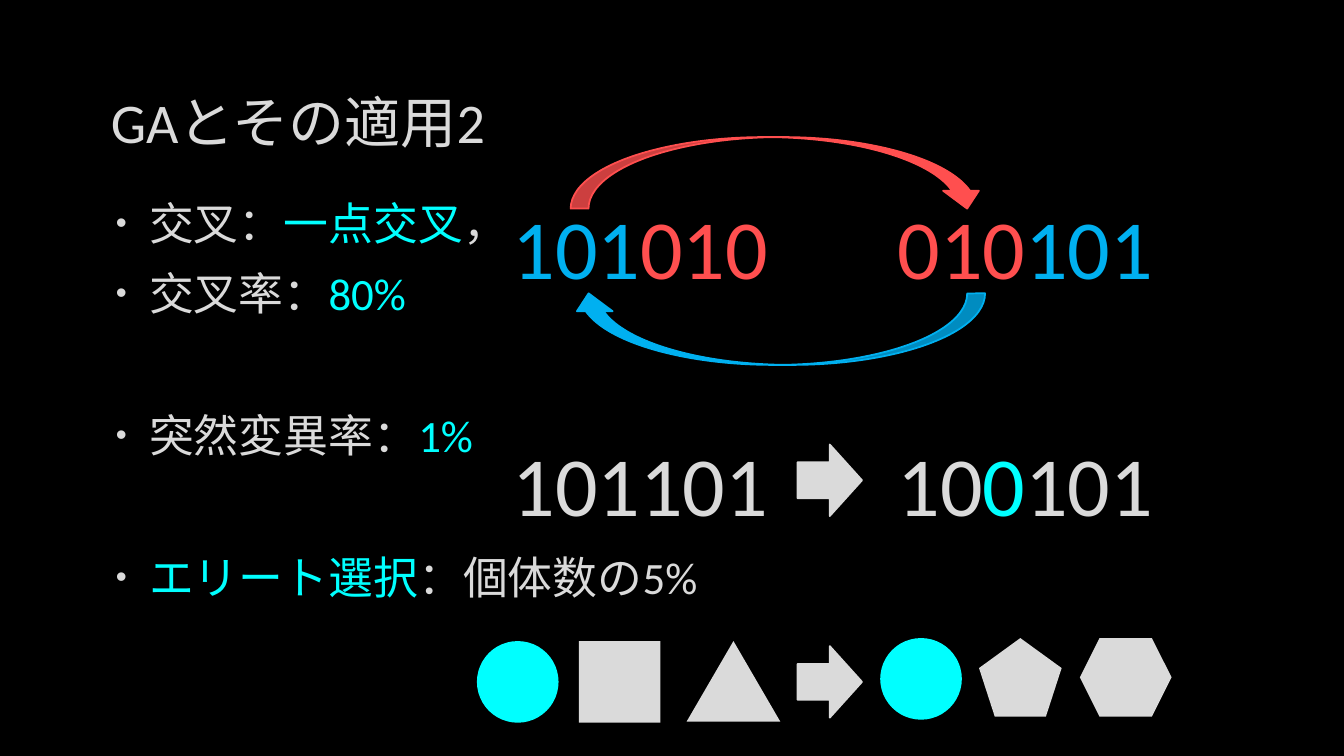
from lxml.etree import SubElement
from pptx import Presentation
from pptx.dml.color import RGBColor
from pptx.enum.shapes import MSO_SHAPE as SHAPE
from pptx.enum.text import MSO_ANCHOR as ANCHOR, PP_ALIGN as ALIGN
from pptx.oxml.ns import qn
from pptx.util import Inches, Pt

FONT = "Calibri"
BLACK, GRAY, CYAN, BLUE, RED = "000000", "DADADA", "00FFFF", "00B0F0", "FF4F4F"

TITLE = [("GAとその適用2", GRAY)]
# (empty rows above, runs)
BULLETS = [
    (0, [("交叉：", GRAY), ("一点交叉", CYAN), ("，", GRAY)]),
    (0, [("交叉率：", GRAY), ("80%", CYAN)]),
    (1, [("突然変異率：", GRAY), ("1%", CYAN)]),
    (1, [("エリート選択", CYAN), ("：個体数の5%", GRAY)]),
]
# One row per operation: left gene, right gene
GENES = [
    ([("101", BLUE), ("010", RED)], [("010", RED), ("101", BLUE)]),
    ([("101101", GRAY)], [("10", GRAY), ("0", CYAN), ("101", GRAY)]),
]
# preset, left, width, height, colour
PARENTS = [
    (SHAPE.OVAL, 4.73, 0.81, 0.81, CYAN),
    (SHAPE.RECTANGLE, 5.74, 0.81, 0.81, GRAY),
    (SHAPE.ISOSCELES_TRIANGLE, 6.81, 0.93, 0.8, GRAY),
]
CHILDREN = [
    (SHAPE.OVAL, 8.73, 0.81, 0.81, CYAN),
    (SHAPE.REGULAR_PENTAGON, 9.71, 0.82, 0.78, GRAY),
    (SHAPE.HEXAGON, 10.71, 0.91, 0.78, GRAY),
]
SWAPS = [(1.36, RED, 0), (2.91, BLUE, 180)]  # top, colour, rotation

MARGIN, TEXT_W = 1, 11.32
BODY_TOP = 1.89
GENE_LEFTS, GENE_TOPS = (4.74, 8.56), (BODY_TOP, 4.24)
GENE_W, GENE_H = 3.18, 1.04
ARROW_LEFT, ARROW_W, ARROW_H = 7.91, 0.64, 0.71
ARROW_TOPS = (4.41, 6.41)
SWAP_LEFT, SWAP_W = 5.66, 4.11
PARENT_TOP, CHILD_TOP = 6.36, 6.33
SPACE_BEFORE, SPACE_AFTER, ROW_PITCH = 6, 6, 51


def rgb(color):
    return RGBColor.from_string(color)


def add_box(s, left, top, width, height, anchor=ANCHOR.TOP):
    tf = s.shapes.add_textbox(*map(Inches, (left, top, width, height))).text_frame
    tf.word_wrap = True
    tf.vertical_anchor = anchor
    return tf


def add_runs(p, runs, size):
    for text, color in runs:
        r = p.add_run()
        r.text = text
        r.font.name = FONT
        r.font.size = Pt(size)
        r.font.color.rgb = rgb(color)


def set_bullet(p):
    pPr = p._p.get_or_add_pPr()
    pPr.set("marL", str(Inches(0.38)))
    pPr.set("indent", str(Inches(-0.33)))
    SubElement(SubElement(pPr, qn("a:buClr")), qn("a:srgbClr"), val=GRAY)
    SubElement(pPr, qn("a:buSzPct"), val="70000")
    SubElement(pPr, qn("a:buFont"), typeface="Arial")
    SubElement(pPr, qn("a:buChar"), char="•")


def add_figure(s, preset, left, top, width, height, color, outlined=False):
    sp = s.shapes.add_shape(preset, *map(Inches, (left, top, width, height)))
    sp.shadow.inherit = False
    sp.fill.solid()
    sp.fill.fore_color.rgb = rgb(color)
    if outlined:
        sp.line.color.rgb = rgb(color)
        sp.line.width = Pt(1.25)
    else:
        sp.line.fill.background()
    return sp


def add_bullets(s):
    tf = add_box(s, MARGIN, BODY_TOP, TEXT_W, 4.44)
    for i, (gap, runs) in enumerate(BULLETS):
        p = tf.add_paragraph() if i else tf.paragraphs[0]
        p.space_before = Pt(SPACE_BEFORE + gap * ROW_PITCH)
        p.space_after = Pt(SPACE_AFTER)
        set_bullet(p)
        add_runs(p, runs, 32)


def add_genes(s):
    for top, pair in zip(GENE_TOPS, GENES):
        for left, runs in zip(GENE_LEFTS, pair):
            p = add_box(s, left, top, GENE_W, GENE_H).paragraphs[0]
            p.alignment = ALIGN.CENTER
            p._p.get_or_add_pPr().set("marL", str(Inches(0.04)))
            add_runs(p, runs, 60)


def main():
    prs = Presentation()
    prs.slide_width, prs.slide_height = Inches(13.33), Inches(7.5)
    s = prs.slides.add_slide(prs.slide_layouts[6])
    s.background.fill.solid()
    s.background.fill.fore_color.rgb = rgb(BLACK)

    title = add_box(s, MARGIN, 0.67, TEXT_W, 1.06, ANCHOR.MIDDLE)
    add_runs(title.paragraphs[0], TITLE, 40)
    add_bullets(s)
    add_genes(s)

    for top, color, rotation in SWAPS:
        sp = add_figure(s, SHAPE.CURVED_DOWN_ARROW, SWAP_LEFT, top,
                        SWAP_W, ARROW_H, color, outlined=True)
        sp.rotation = rotation
    for top in ARROW_TOPS:
        add_figure(s, SHAPE.RIGHT_ARROW, ARROW_LEFT, top,
                   ARROW_W, ARROW_H, GRAY, outlined=True)
    for top, figures in ((PARENT_TOP, PARENTS), (CHILD_TOP, CHILDREN)):
        for preset, left, width, height, color in figures:
            add_figure(s, preset, left, top, width, height, color)

    prs.save("out.pptx")


if __name__ == "__main__":
    main()
